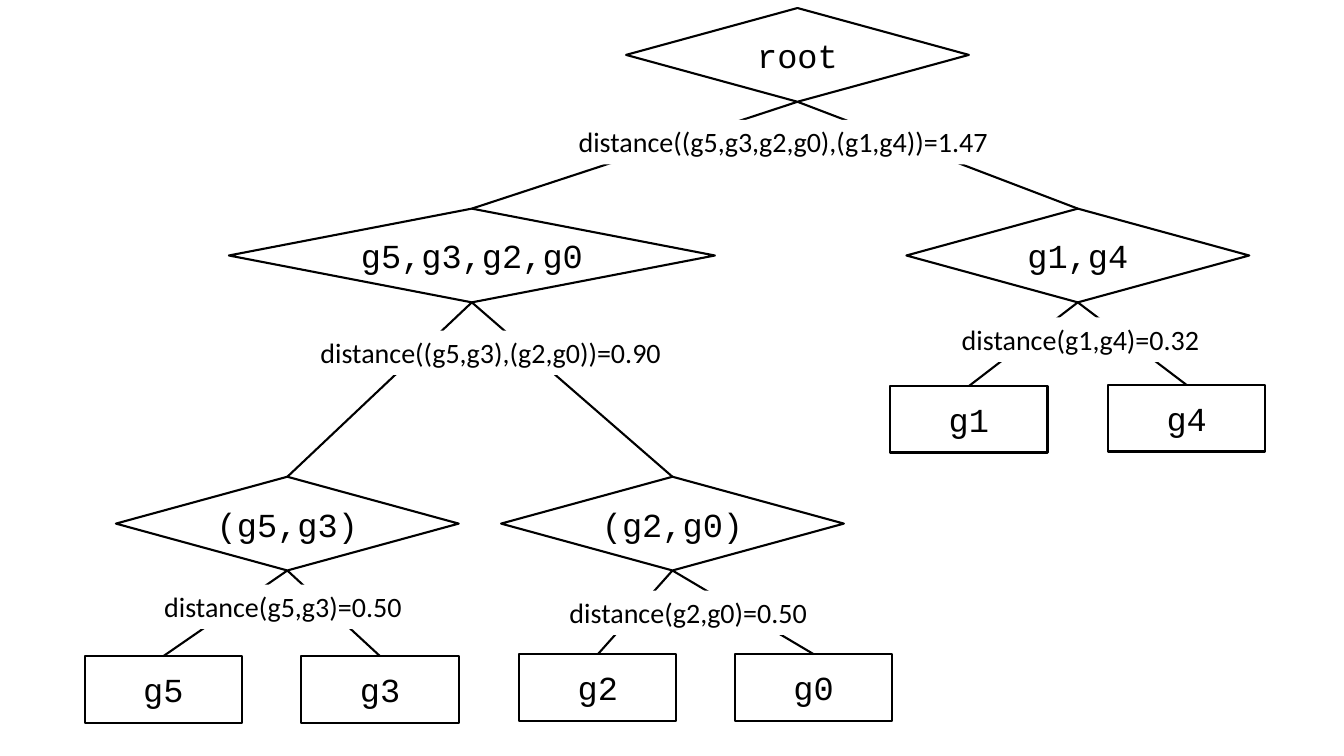
from lxml import etree
from pptx import Presentation
from pptx.dml.color import RGBColor
from pptx.enum import shapes, text
from pptx.oxml import ns
from pptx.util import Inches, Pt

BLACK, WHITE = "000000", "FFFFFF"
DECISION = shapes.MSO_SHAPE.FLOWCHART_DECISION
LEAF = shapes.MSO_SHAPE.RECTANGLE


def color(value):
    return RGBColor.from_string(value)


def write(holder, words, font, size, align, anchor, wrap):
    frame = holder.text_frame
    frame.word_wrap = wrap
    frame.vertical_anchor = anchor
    paragraph = frame.paragraphs[0]
    paragraph.alignment = align
    run = paragraph.add_run()
    run.text = words
    run.font.name = font
    run.font.size = Pt(size)
    run.font.color.rgb = color(BLACK)


deck = Presentation()
deck.slide_width, deck.slide_height = Inches(13.33), Inches(7.5)
slide = deck.slides.add_slide(deck.slide_layouts[6])

clusters = [
    ("root", 6.21, 0.08, 3.4),
    ("g5,g3,g2,g0", 2.27, 2.07, 4.82),
    ("g1,g4", 8.99, 2.07, 3.4),
    ("(g5,g3)", 1.15, 4.73, 3.4),
    ("(g2,g0)", 4.97, 4.73, 3.4),
]
genes = [
    ("g5", 0.84, 6.51),
    ("g3", 2.99, 6.51),
    ("g2", 5.15, 6.49),
    ("g0", 7.29, 6.49),
    ("g1", 8.83, 3.83),
    ("g4", 10.99, 3.82),
]
tree_nodes = [(DECISION, *cluster, 0.93) for cluster in clusters]
tree_nodes += [(LEAF, *gene, 1.56, 0.66) for gene in genes]

nodes = {}
for outline, name, left, top, width, height in tree_nodes:
    node = slide.shapes.add_shape(
        outline, Inches(left), Inches(top), Inches(width), Inches(height))
    node.shadow.inherit = False
    node.fill.background()
    node.line.color.rgb = color(BLACK)
    node.line.width = Pt(1.5)
    write(node, name, font="Courier New", size=24, align=text.PP_ALIGN.CENTER,
          anchor=text.MSO_ANCHOR.MIDDLE, wrap=False)
    nodes[name] = node

children = {
    "root": ("g5,g3,g2,g0", "g1,g4"),
    "g5,g3,g2,g0": ("(g5,g3)", "(g2,g0)"),
    "g1,g4": ("g1", "g4"),
    "(g5,g3)": ("g5", "g3"),
    "(g2,g0)": ("g2", "g0"),
}
BOTTOM, TOP = 2, 0
for parent, pair in children.items():
    for child in pair:
        branch = slide.shapes.add_connector(shapes.MSO_CONNECTOR.STRAIGHT, 0, 0, 0, 0)
        branch.begin_connect(nodes[parent], BOTTOM)
        branch.end_connect(nodes[child], TOP)
        branch.line.color.rgb = color(BLACK)
        branch.line.width = Pt(1.5)
        etree.SubElement(branch._element.spPr, ns.qn("a:effectLst"))

distances = [
    ("distance(g5,g3)=0.50", 1.53, 5.8, 3.56),
    ("distance(g2,g0)=0.50", 5.55, 5.86, 3.46),
    ("distance(g1,g4)=0.32", 9.44, 3.15, 3.52),
    ("distance((g5,g3),(g2,g0))=0.90", 3.08, 3.28, 3.9),
    ("distance((g5,g3,g2,g0),(g1,g4))=1.47", 5.64, 1.19, 4.44),
]
for words, left, top, width in distances:
    distance = slide.shapes.add_textbox(
        Inches(left), Inches(top), Inches(width), Inches(0.44))
    distance.fill.solid()
    distance.fill.fore_color.rgb = color(WHITE)
    write(distance, words, font="Calibri", size=20, align=text.PP_ALIGN.LEFT,
          anchor=text.MSO_ANCHOR.TOP, wrap=True)
    distance.text_frame.auto_size = text.MSO_AUTO_SIZE.SHAPE_TO_FIT_TEXT

deck.save("out.pptx")
